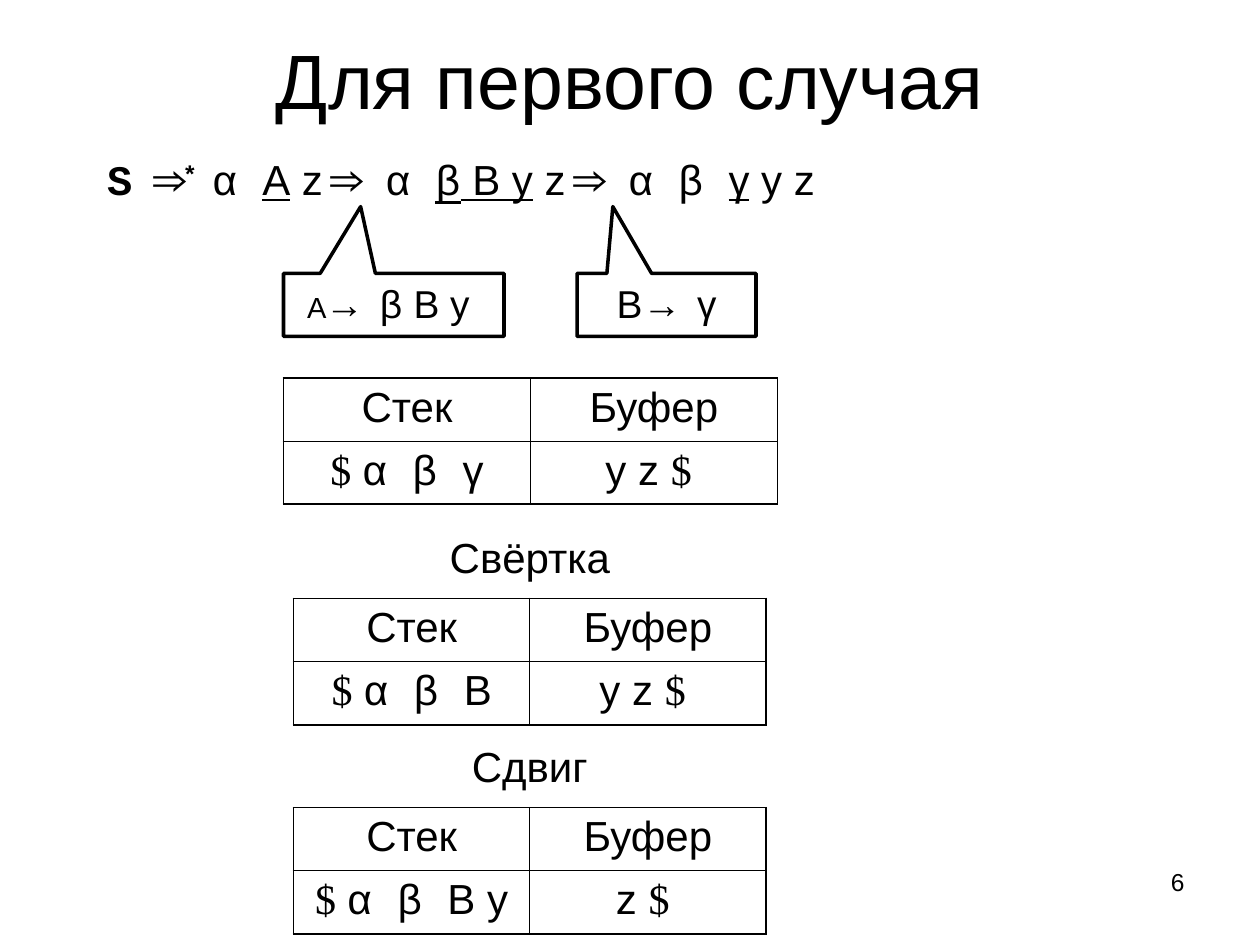
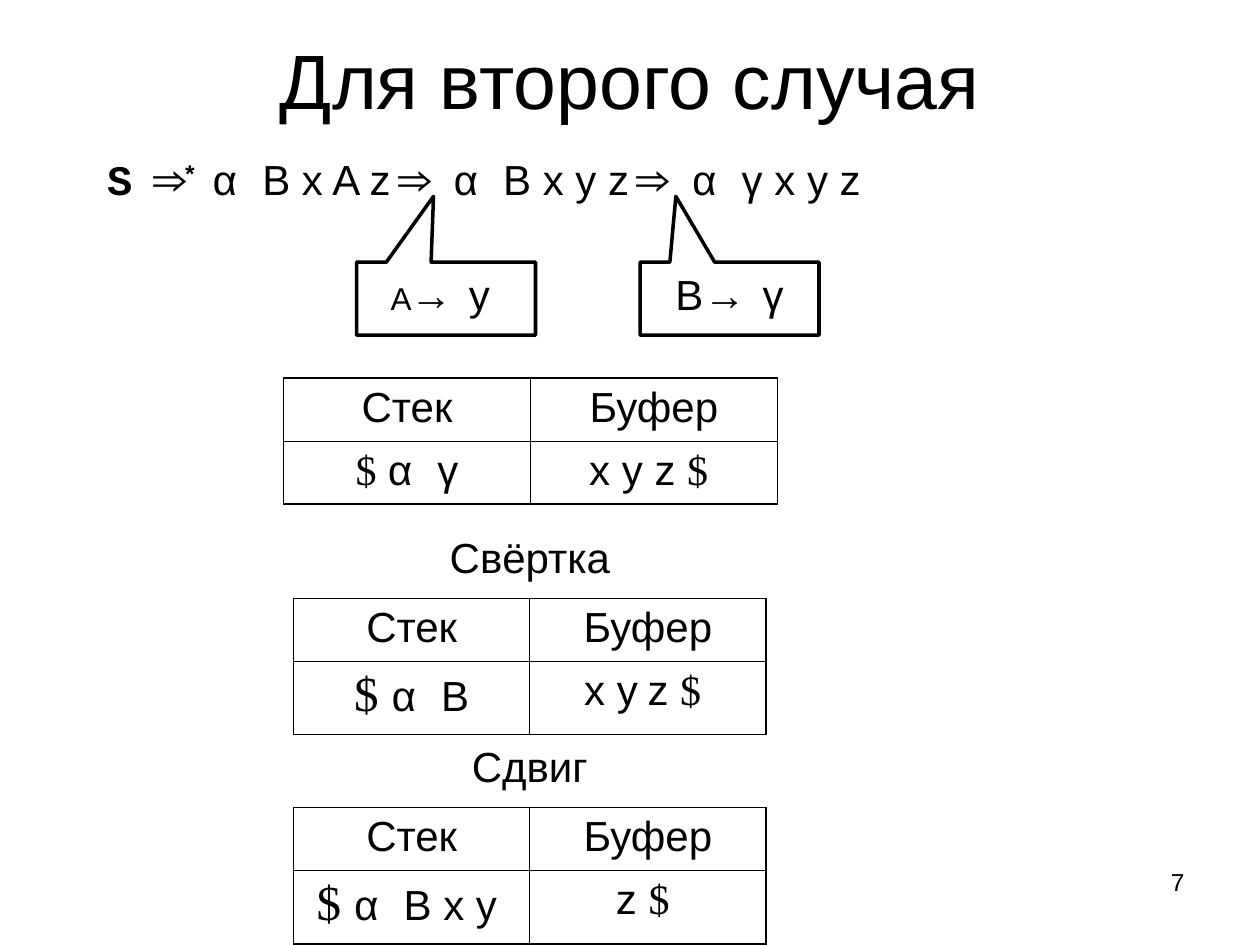
from functools import partial

from lxml import etree
from pptx import Presentation
from pptx import util as u
from pptx.dml.color import RGBColor
from pptx.enum import shapes, text
from pptx.oxml import ns

SANS, MONO, ROMAN = "Arial", "Courier New", "Times New Roman"
INK = "000000"
OUTER_BORDER, INNER_BORDER = 1.08, 0.45
LEFT, CENTER, RIGHT = text.PP_ALIGN.LEFT, text.PP_ALIGN.CENTER, text.PP_ALIGN.RIGHT


def color(code):
    return RGBColor.from_string(code)


def styled(content, font=SANS, size=24, bold=False, underline=False, raised=0):
    return content, font, size, bold, underline, raised


mono = partial(styled, font=MONO)
roman = partial(styled, font=ROMAN)
strong = partial(mono, bold=True)
DERIVES = strong("⇒ ")
START = [strong("S ⇒"), strong("* ", raised=30), mono("α ")]
DOLLAR = roman("$ ")
BIG_DOLLAR = roman("$ ", size=28)


class Deck:
    def __init__(self):
        self.prs = Presentation()
        self.prs.slide_width, self.prs.slide_height = u.Inches(10), u.Inches(7.5)
        self.slide = None

    def compose(self, frame, pieces, align=CENTER, anchor=text.MSO_ANCHOR.TOP):
        frame.word_wrap = True
        frame.auto_size = text.MSO_AUTO_SIZE.NONE
        frame.vertical_anchor = anchor
        return self.fill(frame, pieces, align)

    def fill(self, frame, pieces, align=CENTER):
        paragraph = frame.paragraphs[0]
        paragraph.alignment = align
        paragraph.space_before = u.Pt(0)
        for content, font, size, bold, underline, raised in pieces:
            run = paragraph.add_run()
            run.text = content
            run.font.name, run.font.size = font, u.Pt(size)
            run.font.bold, run.font.underline = bold, underline
            run.font.color.rgb = color(INK)
            if raised:
                run._r.get_or_add_rPr().set("baseline", str(raised * 1000))
        return paragraph

    def place(self, part, left, top, width, height):
        part.left, part.top = u.Inches(left), u.Inches(top)
        part.width, part.height = u.Inches(width), u.Inches(height)

    def start(self, heading, derivation, number):
        self.slide = self.prs.slides.add_slide(self.prs.slide_layouts[1])
        title, body = self.slide.placeholders
        self.place(title, 0.75, 0, 8.5, 1.25)
        self.compose(title.text_frame, [styled(heading, size=44)],
                     anchor=text.MSO_ANCHOR.MIDDLE)
        self.place(body, 0.75, 1.17, 8.33, 0.67)
        line = self.compose(body.text_frame, derivation, LEFT)
        props = line._p.get_or_add_pPr()
        props.set("marL", str(u.Inches(0.38)))
        props.set("indent", str(u.Inches(-0.38)))
        etree.SubElement(props, ns.qn("a:buNone"))
        self.label([styled(number, size=14)], 7.17, 6.83, 2.33, 0.52, RIGHT)

    def label(self, pieces, left, top, width, height, align=CENTER):
        box = self.slide.shapes.add_textbox(*map(u.Inches, (left, top, width, height)))
        self.compose(box.text_frame, pieces, align)

    def callout(self, pieces, left, top, width, height, tip):
        rule = self.slide.shapes.add_shape(
            shapes.MSO_SHAPE.RECTANGULAR_CALLOUT,
            *map(u.Inches, (left, top, width, height)))
        rule.shadow.inherit = False
        rule.adjustments[0], rule.adjustments[1] = tip
        rule.fill.background()
        rule.line.color.rgb = color(INK)
        rule.line.width = u.Pt(2)
        self.compose(rule.text_frame, pieces)

    def border(self, cell, row, column):
        outer = {"a:lnL": column == 0, "a:lnR": column == 1,
                 "a:lnT": row == 0, "a:lnB": row == 1}
        props = cell._tc.get_or_add_tcPr()
        for position, (side, is_outer) in enumerate(outer.items()):
            width = OUTER_BORDER if is_outer else INNER_BORDER
            line = etree.Element(ns.qn(side), w=str(u.Pt(width)))
            paint = etree.SubElement(line, ns.qn("a:solidFill"))
            etree.SubElement(paint, ns.qn("a:srgbClr"), val=INK)
            props.insert(position, line)

    def state(self, stack, buffer, left, top, width, last_row):
        frame = self.slide.shapes.add_table(
            2, 2, *map(u.Inches, (left, top, width, 0.5 + last_row)))
        table = frame.table
        table.first_row = table.horz_banding = False
        table.rows[0].height, table.rows[1].height = u.Inches(0.5), u.Inches(last_row)
        rows = [[[styled("Стек")], [styled("Буфер")]], [stack, buffer]]
        for r, row in enumerate(rows):
            for c, pieces in enumerate(row):
                cell = table.cell(r, c)
                cell.fill.background()
                self.fill(cell.text_frame, pieces)
                self.border(cell, r, c)

    def show_steps(self, states, last_row):
        first, *later = states
        self.state(*first, 2.25, 3, 3.92, 0.5)
        for step, (action, contents) in enumerate(zip(("Свёртка", "Сдвиг"), later)):
            top = 4.17 + step * 1.66
            self.label([styled(action)], 2.83, top, 2.75, 0.5)
            self.state(*contents, 2.33, top + 0.58, 3.75, last_row)


def first_case(deck):
    deck.start("Для первого случая", START + [
        styled("A", underline=True), styled(" z "), DERIVES, mono("α "),
        mono("β", underline=True), styled(" B y", underline=True), styled(" z "),
        DERIVES, mono("α β "), styled("γ", underline=True), styled(" y z")], "6")
    deck.callout([styled("A ", size=16.6), mono("→ β", size=22.2),
                  styled(" B y ", size=22.2)], 2.25, 2.17, 1.75, 0.5, (-0.15, -1.56))
    deck.callout([styled("B", size=22.2), styled(" ", size=16.6),
                  mono("→ ", size=22.2), styled("γ", size=22.2)],
                 4.58, 2.17, 1.42, 0.5, (-0.3, -1.56))
    prefix = [DOLLAR, mono("α β ")]
    deck.show_steps([
        (prefix + [styled("γ")], [styled("y z "), DOLLAR]),
        (prefix + [styled("B")], [styled("y z "), DOLLAR]),
        (prefix + [styled("B y")], [styled("z "), DOLLAR])], 0.5)


def second_case(deck):
    deck.start("Для второго случая", START + [
        styled("B x A z "), DERIVES, mono("α "), styled("B x y z "),
        DERIVES, mono("α "), styled("γ x y z")], "7")
    deck.callout([styled("A ", size=18), mono("→ "), styled("y ")],
                 2.83, 2.08, 1.42, 0.58, (-0.07, -1.4))
    deck.callout([styled("B"), styled(" ", size=18), mono("→ "), styled("γ")],
                 5.08, 2.08, 1.42, 0.58, (-0.3, -1.4))
    prefix = [BIG_DOLLAR, mono("α ")]
    deck.show_steps([
        ([DOLLAR, mono("α "), styled("γ")], [styled("x y z "), DOLLAR]),
        (prefix + [styled("B")],
         [styled("x y"), styled(" ", size=20), styled("z "), DOLLAR]),
        (prefix + [styled("B x y"), styled(" ", size=20)],
         [styled("z "), DOLLAR])], 0.58)


def main():
    deck = Deck()
    first_case(deck)
    second_case(deck)
    deck.prs.save("out.pptx")


if __name__ == "__main__":
    main()
